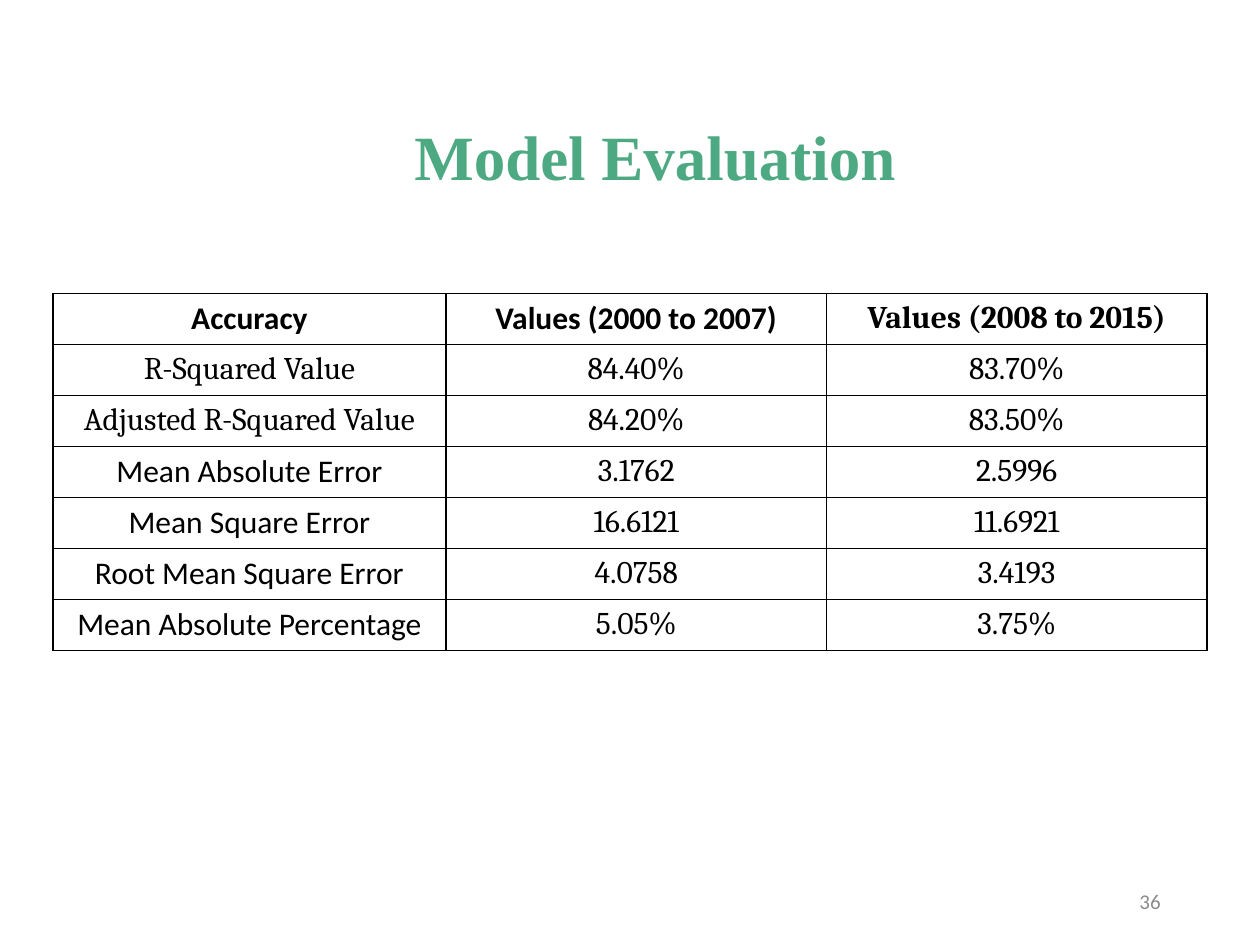
from lxml import etree
from pptx import Presentation
from pptx import util as u
from pptx.dml.color import RGBColor
from pptx.enum import text
from pptx.oxml.ns import qn


def style(p, size, name, color, bold=False):
    f = p.runs[0].font
    f.size, f.name, f.bold = u.Pt(size), name, bold
    f.color.rgb = RGBColor.from_string(color)


def add_borders(cell, color="000000", width=1):
    """Draw all four edges; call before setting the cell's fill."""
    tcPr = cell._tc.get_or_add_tcPr()
    for edge in ("a:lnL", "a:lnR", "a:lnT", "a:lnB"):
        ln = etree.SubElement(tcPr, qn(edge), w=str(u.Pt(width)))
        fill = etree.SubElement(ln, qn("a:solidFill"))
        etree.SubElement(fill, qn("a:srgbClr"), val=color)


prs = Presentation()
prs.slide_width, prs.slide_height = u.Inches(10), u.Inches(7.5)
s = prs.slides.add_slide(prs.slide_layouts[6])

# Title
title = s.shapes.add_textbox(u.Inches(3.19), u.Inches(0.88), u.Inches(4.38), u.Inches(0.71))
tf = title.text_frame
tf.word_wrap = True
tf.auto_size = text.MSO_AUTO_SIZE.SHAPE_TO_FIT_TEXT
tf.text = "Model Evaluation"
style(tf.paragraphs[0], 36, "Times New Roman", "4DA982", True)

# Accuracy table
rows = [
    ("Accuracy", "Values (2000 to 2007)", "Values (2008 to 2015)"),
    ("R-Squared Value", "84.40%", "83.70%"),
    ("Adjusted R-Squared Value", "84.20%", "83.50%"),
    ("Mean Absolute Error", "3.1762", "2.5996"),
    ("Mean Square Error", "16.6121", "11.6921"),
    ("Root Mean Square Error", "4.0758", "3.4193"),
    ("Mean Absolute Percentage", "5.05%", "3.75%"),
]
col_widths = [3.12, 3.02, 3.02]
row_height = 0.405
table = s.shapes.add_table(
    len(rows), len(col_widths), u.Inches(0.42), u.Inches(2.33),
    u.Inches(sum(col_widths)), u.Inches(row_height * len(rows))).table
table.first_row = table.horz_banding = False
for col, width in zip(table.columns, col_widths):
    col.width = u.Inches(width)

for i, row in enumerate(rows):
    table.rows[i].height = u.Inches(row_height)
    for j, value in enumerate(row):
        cell = table.cell(i, j)
        add_borders(cell)
        cell.fill.background()
        cell.text_frame.text = value
        p = cell.text_frame.paragraphs[0]
        p.alignment = text.PP_ALIGN.CENTER
        calibri = (i == 0 and j < 2) or (i > 2 and j == 0)
        style(p, 18, "Calibri" if calibri else "Cambria", "000000", i == 0)

# Slide number
number = s.shapes.add_textbox(u.Inches(7.06), u.Inches(6.95), u.Inches(2.25), u.Inches(0.4))
tf = number.text_frame
tf.word_wrap = True
tf.vertical_anchor = text.MSO_ANCHOR.MIDDLE
tf.text = "36"
tf.paragraphs[0].alignment = text.PP_ALIGN.RIGHT
style(tf.paragraphs[0], 12, "Calibri", "8C8C8C")

prs.save("out.pptx")
